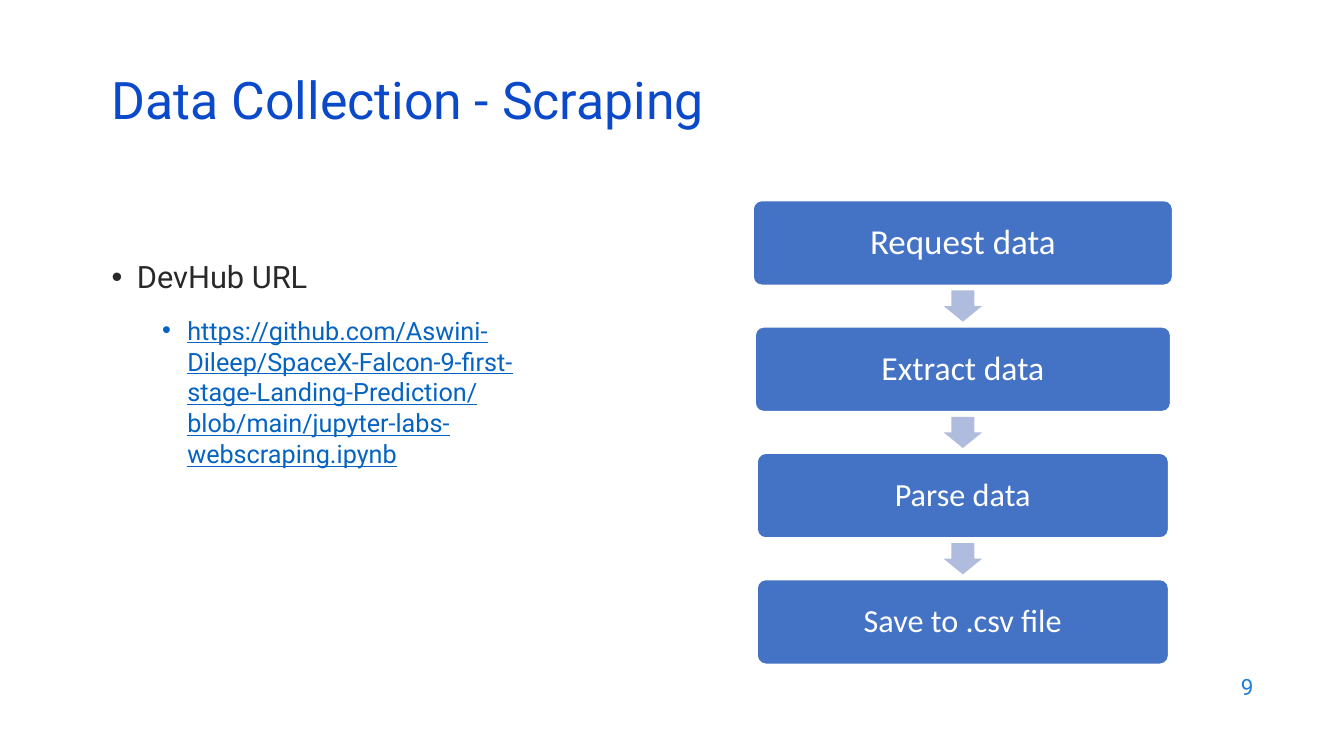
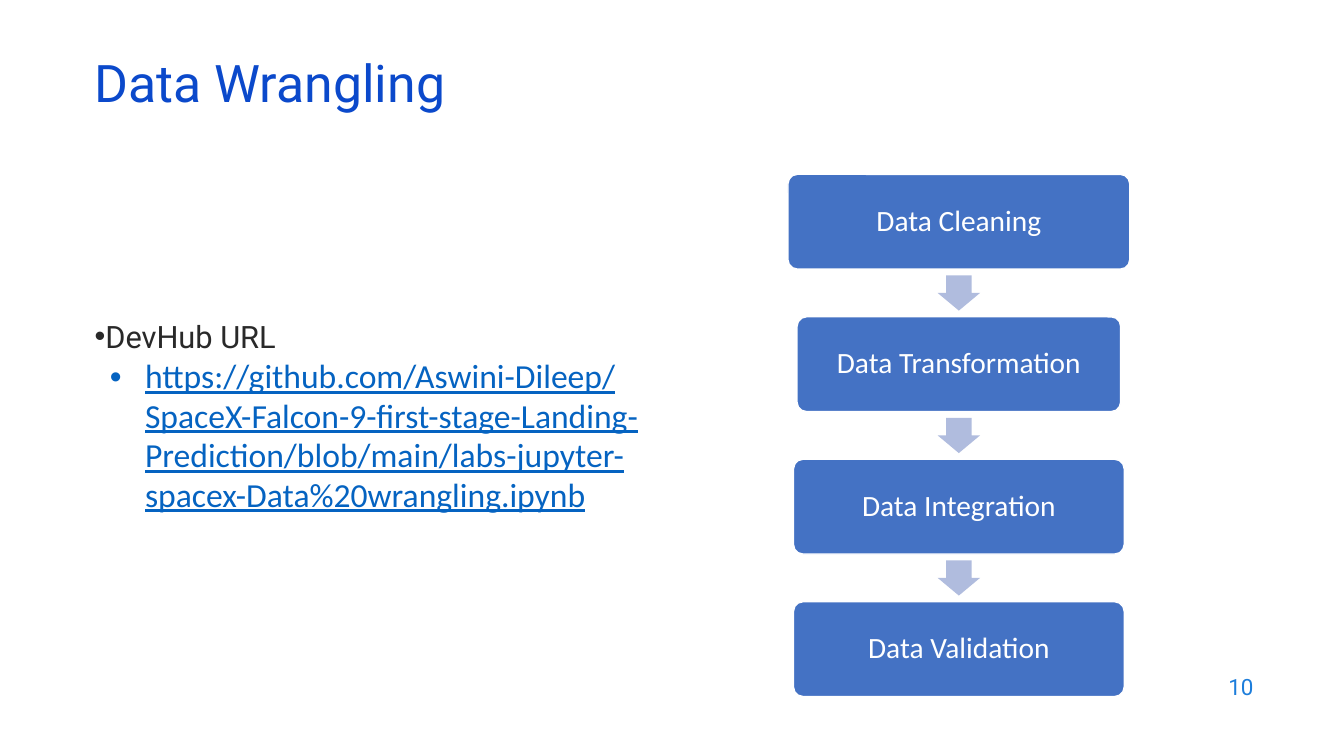
from pptx import Presentation
from pptx.dml.color import RGBColor
from pptx.enum.shapes import MSO_SHAPE
from pptx.enum.text import MSO_ANCHOR, PP_ALIGN
from pptx.oxml import parse_xml
from pptx.oxml.ns import nsdecls
from pptx.util import Inches, Pt

COLORS = {"title": "0B49CB", "number": "1C7DDB", "text": "292929", "link": "0563C1",
          "box": "4472C4", "arrow": "B0BCDE", "white": "FFFFFF"}
REPO = "https://github.com/Aswini-Dileep/SpaceX-Falcon-9-first-stage-Landing-Prediction/blob/main/"

# bullets: text, size, font, colour, left margin, hanging indent, space before, line spacing
# steps: text, box width, font size
SLIDES = [
    {"number": "9", "title": "Data Collection - Scraping", "title_at": (1.01, 0.76),
     "body_at": (1.01, 2.51, 4.3, 3.62),
     "bullets": [("DevHub URL", 22, "Roboto", "text", 0.25, 0.25, 0, 1),
                 (REPO + "jupyter-labs-webscraping.ipynb", 18, "Roboto", "link",
                  0.75, 0.25, 14, 1.02)],
     "center": 9.55, "first_top": 1.99, "last_top": 5.75, "box_height": 0.84,
     "arrow": (0.38, 0.31),
     "steps": [("Request data", 4.16, 25), ("Extract data", 4.12, 24),
               ("Parse data", 4.08, 23), ("Save to .csv file", 4.08, 23)]},
    {"number": "10", "title": "Data Wrangling", "title_at": (0.84, 0.59),
     "body_at": (0.84, 3.1, 5.82, 3.66),
     "bullets": [("DevHub URL", 22, "Roboto", "text", 0, 0, 0, 1),
                 (REPO + "labs-jupyter-spacex-Data%20wrangling.ipynb", 24, "Calibri", "link",
                  0.5, 0.35, 2, 0.98)],
     "center": 9.51, "first_top": 1.73, "last_top": 5.97, "box_height": 0.94,
     "arrow": (0.42, 0.35),
     "steps": [("Data Cleaning", 3.39, 21), ("Data Transformation", 3.21, 21),
               ("Data Integration", 3.28, 21), ("Data Validation", 3.28, 21)]},
]


def write(p, text, size, font, color, align=PP_ALIGN.LEFT, spacing=1):
    p.text = text
    p.alignment = align
    p.line_spacing = spacing
    f = p.runs[0].font
    f.size, f.name = Pt(size), font
    f.color.rgb = RGBColor.from_string(COLORS[color])
    return f


def add_block(s, kind, left, top, width, height, fill):
    """Add a flat preset shape, or a text box when kind is None."""
    at = [Inches(v) for v in (left, top, width, height)]
    if kind is None:
        sp = s.shapes.add_textbox(*at)
    else:
        sp = s.shapes.add_shape(kind, *at)
        sp.shadow.inherit = False
        sp.fill.solid()
        sp.fill.fore_color.rgb = RGBColor.from_string(COLORS[fill])
        sp.line.fill.background()
    sp.text_frame.word_wrap = True
    return sp


prs = Presentation()
prs.slide_width, prs.slide_height = Inches(13.33), Inches(7.5)

for data in SLIDES:
    s = prs.slides.add_slide(prs.slide_layouts[6])

    tf = add_block(s, None, 9.53, 6.59, 3, 0.44, None).text_frame
    tf.vertical_anchor = MSO_ANCHOR.MIDDLE
    write(tf.paragraphs[0], data["number"], 16, "Roboto", "number", PP_ALIGN.RIGHT)

    tf = add_block(s, None, *data["title_at"], 11.5, 0.6, None).text_frame
    tf.vertical_anchor = MSO_ANCHOR.MIDDLE
    write(tf.paragraphs[0], data["title"], 37, "Roboto", "title", spacing=0.7)

    tf = add_block(s, None, *data["body_at"], None).text_frame
    for i, (text, size, font, color, margin, hang, before, spacing) in enumerate(data["bullets"]):
        p = tf.add_paragraph() if i else tf.paragraphs[0]
        f = write(p, text, size, font, color, spacing=spacing)
        f.underline = color == "link"
        if before:
            p.space_before = Pt(before)
        pPr = p._p.get_or_add_pPr()
        pPr.set("marL", str(Inches(margin)))
        pPr.set("indent", str(-Inches(hang)))
        pPr.append(parse_xml(f'<a:buFont {nsdecls("a")} typeface="Arial"/>'))
        pPr.append(parse_xml(f'<a:buChar {nsdecls("a")} char="•"/>'))

    steps, center, height = data["steps"], data["center"], data["box_height"]
    pitch = (data["last_top"] - data["first_top"]) / (len(steps) - 1)
    arrow_w, arrow_h = data["arrow"]
    for i, (text, width, size) in enumerate(steps):
        top = data["first_top"] + i * pitch
        box = add_block(s, MSO_SHAPE.ROUNDED_RECTANGLE, center - width / 2, top,
                        width, height, "box")
        box.adjustments[0] = 0.1
        box.line.color.rgb = RGBColor.from_string(COLORS["white"])
        box.line.width = Pt(1)
        box.text_frame.vertical_anchor = MSO_ANCHOR.MIDDLE
        write(box.text_frame.paragraphs[0], text, size, "Calibri", "white",
              PP_ALIGN.CENTER, 0.9)
        if i < len(steps) - 1:
            gap_middle = top + (height + pitch) / 2
            arrow = add_block(s, MSO_SHAPE.DOWN_ARROW, center - arrow_w / 2,
                              gap_middle - arrow_h / 2, arrow_w, arrow_h, "arrow")
            arrow.adjustments[0] = 0.6
            arrow.adjustments[1] = 0.5

prs.save("out.pptx")
